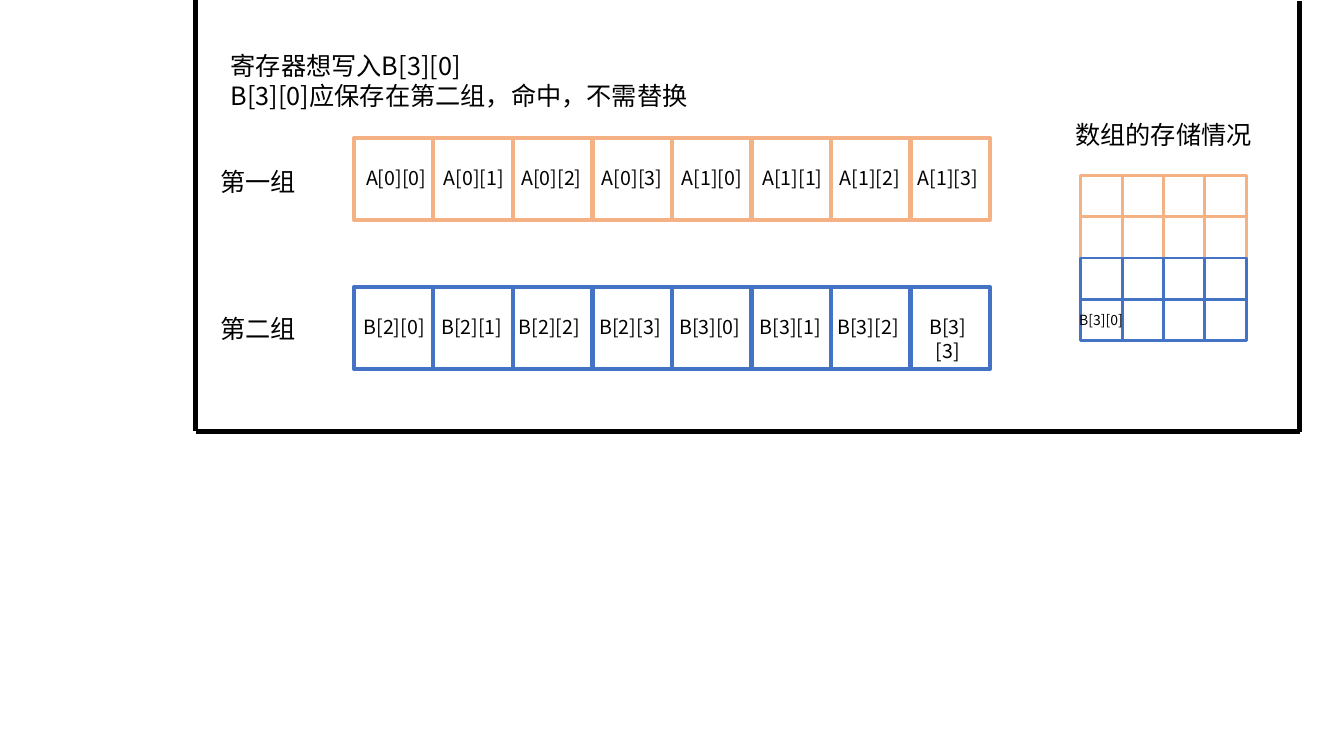
from lxml import etree
from pptx import Presentation
from pptx.dml.color import RGBColor
from pptx.enum.shapes import MSO_CONNECTOR, MSO_SHAPE
from pptx.enum.text import MSO_AUTO_SIZE, PP_ALIGN
from pptx.oxml.ns import qn
from pptx.util import Inches, Pt

STRAIGHT = MSO_CONNECTOR.STRAIGHT
RECTANGLE = MSO_SHAPE.RECTANGLE
GROW = MSO_AUTO_SIZE.SHAPE_TO_FIT_TEXT
LEFT, CENTER = PP_ALIGN.LEFT, PP_ALIGN.CENTER

FONT = "Noto Sans CJK SC"
COLORS = {"first": "F4B183", "second": "4472C4", "ink": "000000"}

NOTES = ["寄存器想写入B[3][0]", "B[3][0]应保存在第二组，命中，不需替换"]
ARRAY_TITLE = "数组的存储情况"
WRITTEN_ITEM = "B[3][0]"
CACHE_SETS = [
    {"name": "第一组", "name_top": 1.6, "top": 1.37, "color": "first", "shift": 0,
     "last_label": (8.98, 0.84),
     "items": ["A[0][0]", "A[0][1]", "A[0][2]", "A[0][3]",
               "A[1][0]", "A[1][1]", "A[1][2]", "A[1][3]"]},
    {"name": "第二组", "name_top": 3.06, "top": 2.85, "color": "second", "shift": -0.02,
     "last_label": (9.0, 0.8),
     "items": ["B[2][0]", "B[2][1]", "B[2][2]", "B[2][3]",
               "B[3][0]", "B[3][1]", "B[3][2]", "B[3][3]"]},
]
MEMORY_ROWS = ["first", "first", "second", "second"]
MEMORY_COLUMNS = 4

SET_LEFT, SET_WIDTH, SET_HEIGHT = 3.51, 6.31, 0.81
LABEL_LEFTS = [3.51, 4.28, 5.05, 5.85, 6.64, 7.44, 8.21]
LABEL_WIDTH = 0.84
MEMORY_LEFT, MEMORY_TOP, MEMORY_CELL = 10.72, 1.74, 0.41
FRAME_LINES = [
    (1.94, 0, 1.94, 4.28),
    (1.94, 4.28, 12.89, 4.28),
    (12.89, 0.01, 12.89, 4.29),
]


def add_line(shapes, x1, y1, x2, y2, color, weight):
    line = shapes.add_connector(STRAIGHT, Inches(x1), Inches(y1), Inches(x2), Inches(y2))
    line.line.color.rgb = RGBColor.from_string(COLORS[color])
    line.line.width = Pt(weight)
    etree.SubElement(line._element.spPr, qn("a:effectLst"))


def add_outline(shapes, left, top, width, height, color, weight):
    outline = shapes.add_shape(RECTANGLE, Inches(left), Inches(top),
                               Inches(width), Inches(height))
    outline.shadow.inherit = False
    outline.fill.background()
    outline.line.color.rgb = RGBColor.from_string(COLORS[color])
    outline.line.width = Pt(weight)


def add_text(shapes, lines, left, top, width, height, size, align=CENTER):
    box = shapes.add_textbox(Inches(left), Inches(top), Inches(width), Inches(height))
    frame = box.text_frame
    frame.word_wrap = True
    frame.auto_size = GROW
    frame.text = "\n".join(lines)
    for para in frame.paragraphs:
        para.alignment = align
        para.font.size = Pt(size)
        para.font.name = FONT
        para.font.color.rgb = RGBColor.from_string(COLORS["ink"])
        for span in para.runs:
            east_asian = etree.SubElement(span._r.get_or_add_rPr(), qn("a:ea"))
            east_asian.set("typeface", FONT)


def add_cache_set(page, cache_set):
    """Draw one set as a grouped strip of eight labelled cells, plus its name."""
    shapes = page.shapes.add_group_shape().shapes
    top, color, items = cache_set["top"], cache_set["color"], cache_set["items"]
    add_outline(shapes, SET_LEFT, top, SET_WIDTH, SET_HEIGHT, color, 3)
    cell_width = SET_WIDTH / len(items)
    for column in range(1, len(items)):
        x = SET_LEFT + column * cell_width
        add_line(shapes, x, top, x, top + SET_HEIGHT, color, 3)
    places = [(left + cache_set["shift"], LABEL_WIDTH) for left in LABEL_LEFTS]
    places.append(cache_set["last_label"])
    for item, (left, width) in zip(items, places):
        add_text(shapes, [item], left, top + 0.23, width, 0.34, 14)
    add_text(page.shapes, [cache_set["name"]], 1.94, cache_set["name_top"], 1.24, 0.4, 18)


def add_memory(page):
    for row, color in enumerate(MEMORY_ROWS):
        for column in range(MEMORY_COLUMNS):
            add_outline(page.shapes, MEMORY_LEFT + column * MEMORY_CELL,
                        MEMORY_TOP + row * MEMORY_CELL, MEMORY_CELL, MEMORY_CELL, color, 2)
    add_text(page.shapes, [ARRAY_TITLE], 10.53, 1.13, 2.02, 0.4, 18)
    add_text(page.shapes, [WRITTEN_ITEM], 10.5, 3.04, LABEL_WIDTH, 0.27, 10)


def main():
    deck = Presentation()
    deck.slide_width, deck.slide_height = Inches(13.33), Inches(7.5)
    page = deck.slides.add_slide(deck.slide_layouts[6])
    add_text(page.shapes, NOTES, 2.19, 0.45, 9.11, 0.71, 18, LEFT)
    for cache_set in CACHE_SETS:
        add_cache_set(page, cache_set)
    add_memory(page)
    for ends in FRAME_LINES:
        add_line(page.shapes, *ends, "ink", 4)
    deck.save("out.pptx")


if __name__ == "__main__":
    main()
